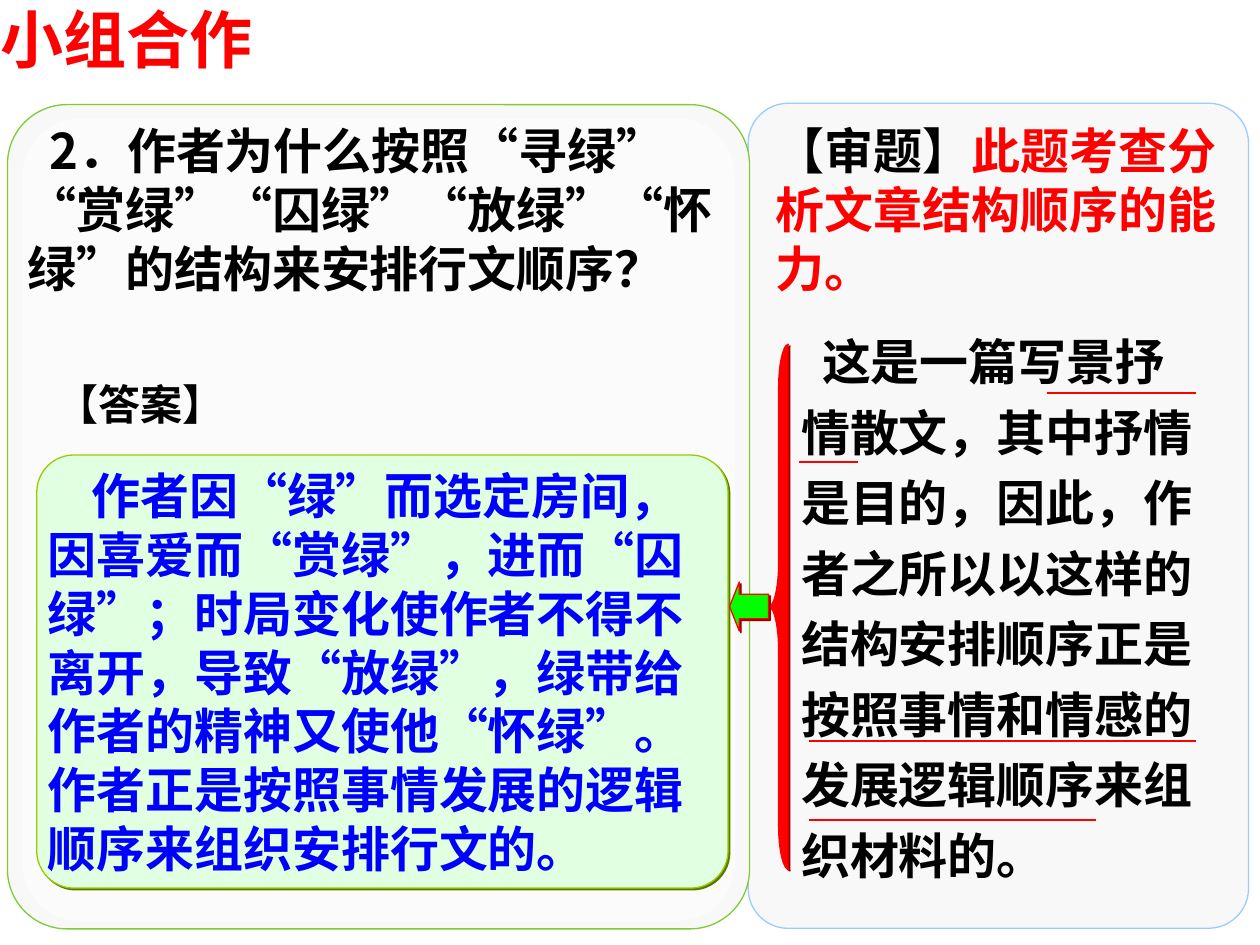
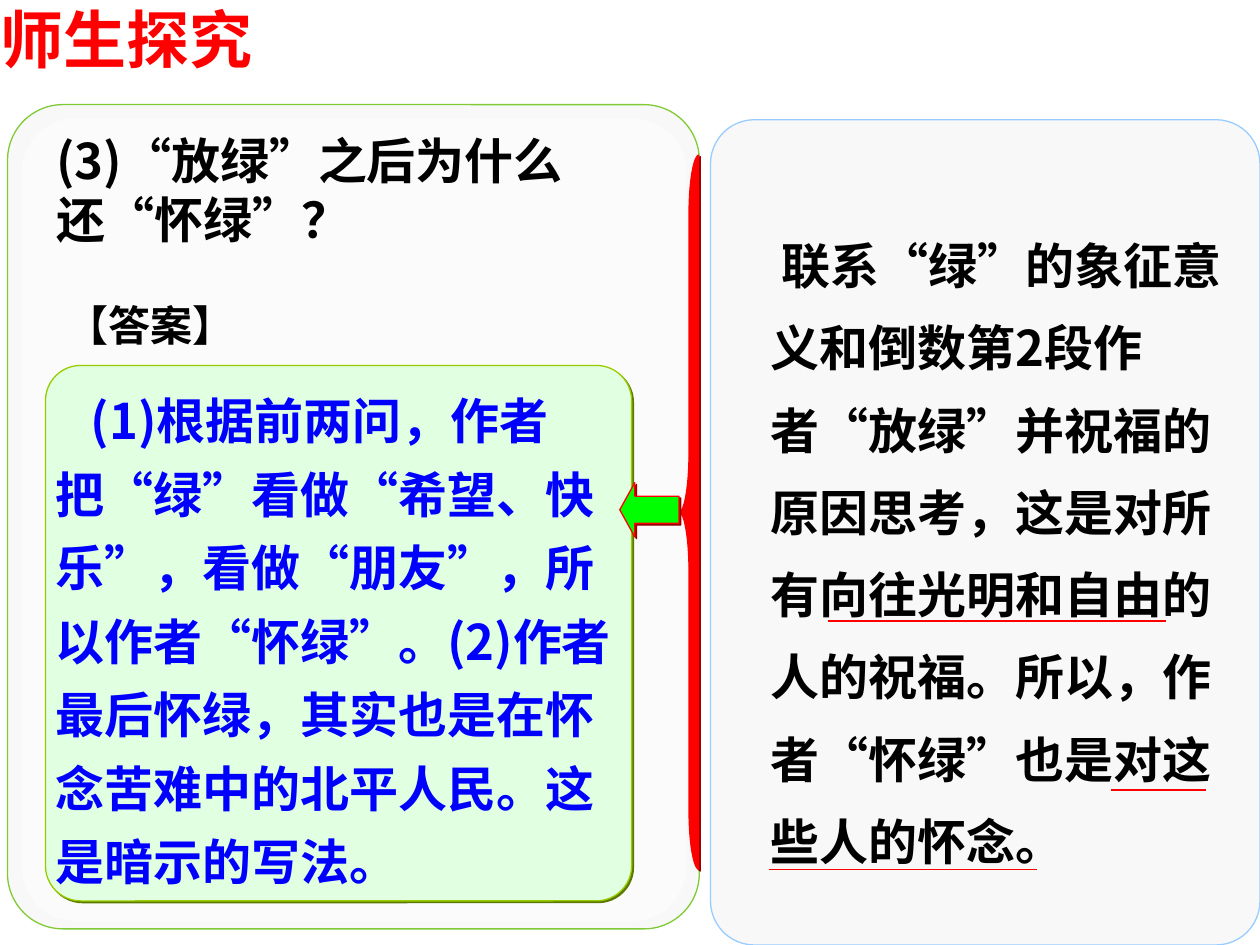
import pptx
import pptx.util
import pptx.dml.color
import pptx.enum.shapes
import pptx.enum.text
import pptx.oxml
import pptx.oxml.ns

Pt = pptx.util.Pt
RGB = pptx.dml.color.RGBColor
KIND = pptx.enum.shapes.MSO_SHAPE
ANCHOR = pptx.enum.text.MSO_ANCHOR
qn = pptx.oxml.ns.qn

RED = RGB(0xFF, 0, 0)
BLACK = RGB(0, 0, 0)
BLUE = RGB(0, 0, 0xFF)
WHITE = RGB(0xFF, 0xFF, 0xFF)
GREEN = RGB(0, 0xFF, 0)
MINT = RGB(0xE1, 0xFF, 0xE1)
OLIVE = RGB(0x99, 0xCC, 0)
MOSS = RGB(0x5B, 0x79, 0)
LEAF = RGB(0x80, 0xCB, 0x35)
SKY = RGB(0x99, 0xCC, 0xFF)
PALE = RGB(0xF8, 0xF8, 0xF8)
WINE = RGB(0x98, 0, 0)
GREY = RGB(0x80, 0x80, 0x80)

SANS = "Noto Sans CJK SC"
NS = pptx.oxml.ns.nsdecls("a")
CAST = ('<a:effectLst %s><a:outerShdw dist="%d" dir="2700000" algn="ctr">'
        '<a:srgbClr val="%s"/></a:outerShdw></a:effectLst>')
DROP = 17960  # shadow distance in EMU


def shape(slide, kind, at, fill, line=None, cast=None, adj=()):
    """Add a filled preset shape; cast is the colour of its shadow."""
    item = slide.shapes.add_shape(kind, *[Pt(v) for v in at])
    for i, val in enumerate(adj):
        item.adjustments[i] = val
    item.fill.solid()
    item.fill.fore_color.rgb = fill
    if line is None:
        item.line.fill.background()
    else:
        item.line.color.rgb = line
        item.line.width = Pt(0.75)
    if cast is None:
        item.shadow.inherit = False
    else:
        item._element.spPr.append(pptx.oxml.parse_xml(CAST % (NS, DROP, cast)))
    return item


def write(item, paras, size=28, face=SANS, lead=1, indent=0, pad=(7.2, 3.6),
          anchor=ANCHOR.TOP, cast=True):
    """Fill a shape with paragraphs, each a list of (text, colour) runs."""
    frame = item.text_frame
    look = {"word_wrap": True, "vertical_anchor": anchor,
            "auto_size": pptx.enum.text.MSO_AUTO_SIZE.NONE,
            "margin_left": Pt(pad[0]), "margin_right": Pt(pad[0]),
            "margin_top": Pt(pad[1]), "margin_bottom": Pt(pad[1])}
    for name, val in look.items():
        setattr(frame, name, val)
    for i, runs in enumerate(paras):
        para = frame.add_paragraph() if i else frame.paragraphs[0]
        form = {"alignment": pptx.enum.text.PP_ALIGN.LEFT, "space_before": Pt(0),
                "line_spacing": Pt(round(1.2 * size * lead, 1))}
        for name, val in form.items():
            setattr(para, name, val)
        if i == 0:
            para._p.get_or_add_pPr().set("indent", str(Pt(indent)))
        for text, tint in runs:
            run = para.add_run()
            run.text = text
            for name, val in {"size": Pt(size), "bold": True, "name": face}.items():
                setattr(run.font, name, val)
            run.font.color.rgb = tint
            props = run._r.get_or_add_rPr()
            props.set("lang", "zh-CN")
            latin = props.find(qn("a:latin"))
            latin.addnext(pptx.oxml.parse_xml('<a:ea %s typeface="%s"/>' % (NS, SANS)))
            if cast:
                latin.addprevious(pptx.oxml.parse_xml(CAST % (NS, DROP, GREY)))


MID = ANCHOR.MIDDLE
# Boxes are left, top, width, height; rules are left, right, height on the slide.
PAGES = [
    {"title": "小组合作",
     "right": (427.5, 59, 286, 471.5),
     "left": (4.3, 59.8, 424, 471), "inner": (13, 67.7, 407, 458.6),
     "card": (21, 260, 395, 247.5), "round": 0.086,
     "answer": "作者因“绿”而选定房间，因喜爱而“赏绿”，进而“囚绿”；时局变化使作者不得不离开，"
               "导致“放绿”，绿带给作者的精神又使他“怀绿”。作者正是按照事情发展的逻辑顺序来组织安排行文的。",
     "form": {"face": "Arial", "indent": 25},
     "label": (25, 213, 119, 36),
     "texts": [
         ((8.6, 65.5, 414, 108),
          [[("2．作者为什么按照“寻绿”", BLACK)],
           [("“赏绿”“囚绿”“放绿”“怀绿”的结构来安排行文顺序？", BLACK)]],
          {"anchor": MID, "indent": 12.5}),
         ((436.3, 65.5, 275, 108),
          [[("【审题】", BLACK), ("此题考查分析文章结构顺序的能力。", RED)]],
          {"face": "Arial"}),
         ((450.7, 179.3, 249, 330),
          [[("这是一篇写景抒情散文，其中抒情是目的，因此，作者之所以以这样的结构安排顺序"
             "正是按照事情和情感的发展逻辑顺序来组织材料的。", BLACK)]],
          {"lead": 1.2, "indent": 12})],
     "rules": [(598.3, 683.3, 224.6), (456.5, 490.3, 264.2),
               (462.2, 683.3, 423.4), (462.2, 626.4, 468.7)],
     "brace": (439.2, 196.6, 11.5, 300.2),
     "arrow": (416.9, 332.6, 22.3, 28), "head": 0.25},
    {"title": "师生探究",
     "right": (406, 68.4, 314, 471.6),
     "left": (4.3, 59.8, 395.3, 471), "inner": (12.5, 67.7, 379.5, 458.6),
     "card": (26, 208.8, 335, 306), "round": 0.066,
     "answer": "(1)根据前两问，作者把“绿”看做“希望、快乐”，看做“朋友”，所以作者“怀绿”。"
               "(2)作者最后怀绿，其实也是在怀念苦难中的北平人民。这是暗示的写法。",
     "form": {"lead": 1.25, "indent": 20},
     "label": (31, 167.8, 136, 36),
     "texts": [
         ((25.2, 71.3, 340, 75), [[("(3)“放绿”之后为什么还“怀绿”？", BLACK)]], {}),
         ((433.4, 117.4, 272.2, 383.8),
          [[("联系“绿”的象征意义和倒数第2段作者“放绿”并祝福的原因思考，这是对所有向往光明"
             "和自由的人的祝福。所以，作者“怀绿”也是对这些人的怀念。", BLACK)]],
          {"lead": 1.4, "anchor": MID, "indent": 6})],
     "rules": [(473, 666, 355), (635, 689, 451.4), (439.2, 592.6, 496.8)],
     "brace": (388, 88.6, 11.5, 408.2),
     "arrow": (354.2, 275.8, 33.8, 31), "head": 0.277},
]

deck = pptx.Presentation()
deck.slide_width, deck.slide_height = Pt(720), Pt(540)

for page in PAGES:
    slide = deck.slides.add_slide(deck.slide_layouts[5])
    title = slide.shapes.title
    for name, val in zip(("left", "top", "width", "height"), (0, 0, 241, 43.2)):
        setattr(title, name, Pt(val))
    write(title, [[(page["title"], RED)]], size=36, face="Arial", pad=(0, 0))

    for name, line in (("right", SKY), ("left", LEAF)):
        shape(slide, KIND.ROUNDED_RECTANGLE, page[name], PALE, line, adj=[0.08])
    veil = shape(slide, KIND.ROUNDED_RECTANGLE, page["inner"], WHITE, adj=[0.08])
    tint = veil._element.spPr.find(qn("a:solidFill"))[0]
    tint.append(pptx.oxml.parse_xml('<a:alpha %s val="50000"/>' % NS))

    card = shape(slide, KIND.ROUNDED_RECTANGLE, page["card"], MINT, OLIVE, MOSS,
                 [page["round"]])
    write(card, [[(page["answer"], BLUE)]], pad=(0, 0), anchor=MID, cast=False,
          **page["form"])

    label = (page["label"], [[("【答案】", BLACK)]], {"size": 24, "face": "Arial"})
    for at, paras, form in page["texts"] + [label]:
        write(slide.shapes.add_textbox(*[Pt(v) for v in at]), paras, **form)

    for start, end, y in page["rules"]:
        rule = slide.shapes.add_connector(pptx.enum.shapes.MSO_CONNECTOR.STRAIGHT,
                                          Pt(start), Pt(y), Pt(end), Pt(y))
        rule.line.color.rgb = RED
        rule.line.width = Pt(1)
        rule._element.spPr.append(pptx.oxml.parse_xml("<a:effectLst %s/>" % NS))

    wide, high = page["brace"][2:]
    shape(slide, KIND.LEFT_BRACE, page["brace"], RED, RED, WINE,
          [high / 12 / wide, 0.5])
    shape(slide, KIND.LEFT_ARROW, page["arrow"], GREEN, RED, WINE,
          [0.5, page["head"]])

deck.save("out.pptx")
